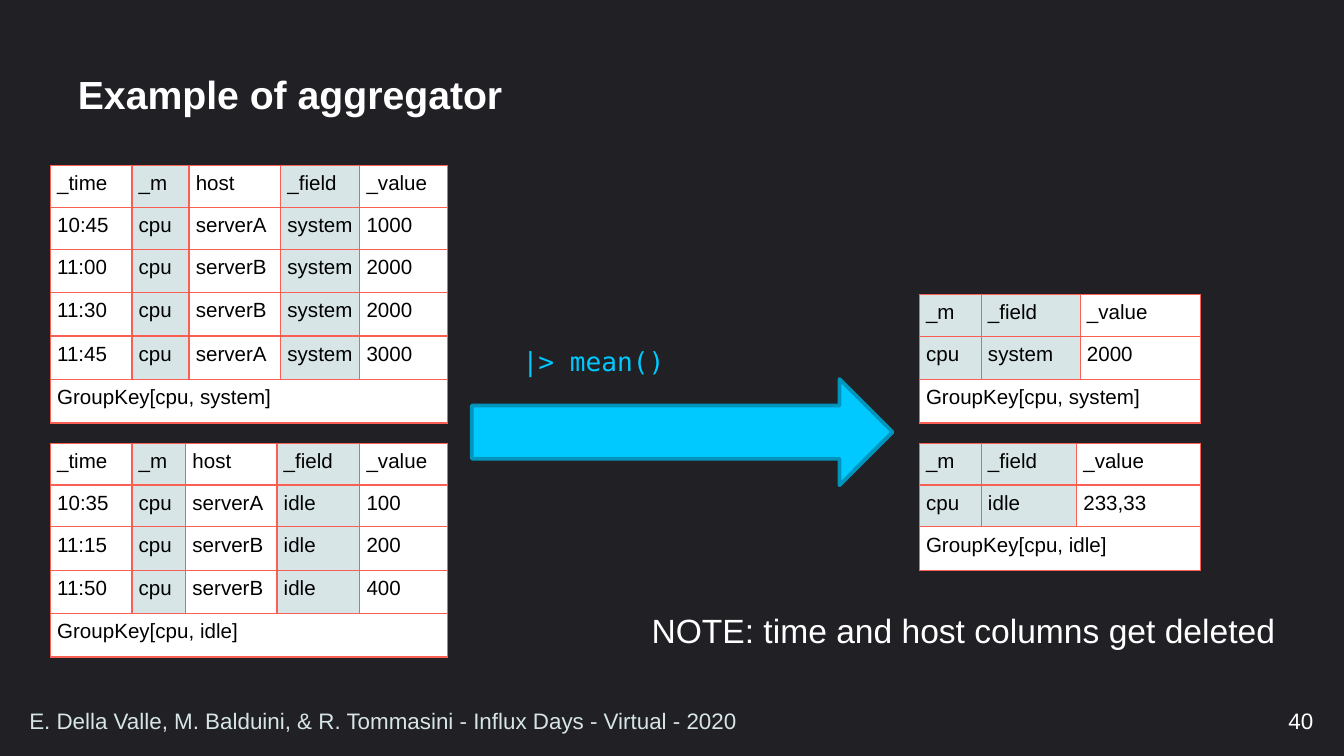
"""Build a slide that shows how mean() aggregates grouped tables."""
import dataclasses

import lxml.etree
import pptx
import pptx.dml.color
import pptx.enum.shapes
import pptx.enum.text
import pptx.oxml
import pptx.oxml.ns
import pptx.util

Pt = pptx.util.Pt
Align = pptx.enum.text.PP_ALIGN
Anchor = pptx.enum.text.MSO_ANCHOR


@dataclasses.dataclass(frozen=True)
class Theme:
    """Colours, fonts and type sizes of the slide."""

    background: str = "202025"
    light: str = "FFFFFF"
    dark: str = "000000"
    group_key: str = "D7E5E6"
    border: str = "F95F53"
    accent: str = "00C9FF"
    accent_edge: str = "0095BD"
    font: str = "Arial"
    code_font: str = "DejaVu Sans Mono"
    title_size: float = 21
    note_size: float = 18
    code_size: float = 14
    footer_size: float = 12
    cell_size: float = 11


def rgb(value):
    """Return the colour object of a hex string."""
    return pptx.dml.color.RGBColor.from_string(value)


def write(frame, text, *, size, color, font, bold=False, align=Align.LEFT,
          spacing=None):
    """Put one formatted paragraph into a text frame."""
    paragraph = frame.paragraphs[0]
    paragraph.alignment = align
    if spacing:
        paragraph.line_spacing = spacing
    run = paragraph.add_run()
    run.text = text
    run.font.size = Pt(size)
    run.font.color.rgb = rgb(color)
    run.font.name = font
    run.font.bold = bold


class SlideBuilder:
    """Hold the theme and the current slide, and add elements to it."""

    def __init__(self, theme, slide):
        self.theme = theme
        self.slide = slide
        slide.background.fill.solid()
        slide.background.fill.fore_color.rgb = rgb(theme.background)

    def title(self, text, left, top, width, height):
        """Place and fill the title placeholder."""
        heading = self.slide.shapes.title
        heading.left, heading.top = Pt(left), Pt(top)
        heading.width, heading.height = Pt(width), Pt(height)
        frame = heading.text_frame
        frame.auto_size = pptx.enum.text.MSO_AUTO_SIZE.NONE
        frame.vertical_anchor = Anchor.MIDDLE
        frame.margin_left = frame.margin_right = Pt(5)
        frame.margin_top = frame.margin_bottom = Pt(2.9)
        write(frame, text, size=self.theme.title_size, color=self.theme.light,
              font=self.theme.font, bold=True, spacing=0.9)

    def text(self, text, left, top, width, height, anchor=Anchor.TOP,
             wrap=True, **style):
        """Add a text box."""
        box = self.slide.shapes.add_textbox(Pt(left), Pt(top), Pt(width), Pt(height))
        box.text_frame.word_wrap = wrap
        box.text_frame.vertical_anchor = anchor
        write(box.text_frame, text,
              **{"color": self.theme.light, "font": self.theme.font, **style})

    def arrow(self, left, top, width, height):
        """Add a block arrow turned to the right."""
        block = self.slide.shapes.add_shape(
            pptx.enum.shapes.MSO_SHAPE.UP_ARROW,
            Pt(left), Pt(top), Pt(width), Pt(height))
        block.rotation = 90
        block.shadow.inherit = False
        block.fill.solid()
        block.fill.fore_color.rgb = rgb(self.theme.accent)
        block.line.color.rgb = rgb(self.theme.accent_edge)
        block.line.width = Pt(2)

    def outline(self, cell):
        """Draw the four borders of a table cell."""
        properties = cell._tc.get_or_add_tcPr()
        qn = pptx.oxml.ns.qn
        for side in ("lnL", "lnR", "lnT", "lnB"):
            line = lxml.etree.SubElement(properties, qn(f"a:{side}"), w=str(Pt(0.75)))
            fill = lxml.etree.SubElement(line, qn("a:solidFill"))
            lxml.etree.SubElement(fill, qn("a:srgbClr"), val=self.theme.border)

    def table(self, records, group, left, top, widths, short_rows=2):
        """Add a table with shaded group columns and a merged group-key row."""
        header = records[0]
        rows = [*records, [f"GroupKey[{group}]"] + [""] * (len(header) - 1)]
        heights = [22.4 if i < short_rows else 23.3 for i in range(len(rows))]
        grid = self.slide.shapes.add_table(
            len(rows), len(widths), Pt(left), Pt(top),
            Pt(sum(widths)), Pt(sum(heights))).table
        grid.first_row = grid.horz_banding = False
        for column, width in zip(grid.columns, widths):
            column.width = Pt(width)
        for r, (values, height) in enumerate(zip(rows, heights)):
            grid.rows[r].height = Pt(height)
            for c, value in enumerate(values):
                cell = grid.cell(r, c)
                cell.margin_left = cell.margin_right = Pt(3.6)
                cell.margin_top = cell.margin_bottom = Pt(3.6)
                self.outline(cell)
                shaded = header[c] in ("_m", "_field") and r < len(records)
                cell.fill.solid()
                cell.fill.fore_color.rgb = rgb(
                    self.theme.group_key if shaded else self.theme.light)
                if value:
                    write(cell.text_frame, value, size=self.theme.cell_size,
                          color=self.theme.dark, font=self.theme.font)
        last = len(rows) - 1
        grid.cell(last, 0).merge(grid.cell(last, len(header) - 1))


def main():
    """Build and save the presentation."""
    deck = pptx.Presentation()
    deck.slide_width, deck.slide_height = Pt(720), Pt(405)
    theme = Theme()
    page = SlideBuilder(theme, deck.slides.add_slide(deck.slide_layouts[5]))

    page.arrow(337, 118.8, 56.9, 225.4)
    page.text("|> mean()", 272.9, 171.4, 185.8, 31.7, size=theme.code_size,
              color=theme.accent, font=theme.code_font, spacing=1.6)
    page.title("Example of aggregator", 36.7, 28.8, 646.6, 46.1)
    page.text("NOTE: time and host columns get deleted", 342, 323.3, 352.1, 28.8,
              wrap=False, size=theme.note_size)

    input_left, result_left = 27, 492.5
    idle_top = 237.4
    result_header = ["_m", "_field", "_value"]
    page.table([result_header, ["cpu", "system", "2000"]], "cpu, system",
               result_left, 157.7, [33.2, 53, 64.5], short_rows=1)
    page.table([result_header, ["cpu", "idle", "233,33"]], "cpu, idle",
               result_left, idle_top, [33.2, 51.1, 66.4])

    def readings(field, samples):
        """Return the header and one record per sample."""
        return [["_time", "_m", "host", "_field", "_value"]] + [
            [time, "cpu", host, field, value] for time, host, value in samples]

    system_samples = [("10:45", "serverA", "1000"), ("11:00", "serverB", "2000"),
                      ("11:30", "serverB", "2000"), ("11:45", "serverA", "3000")]
    idle_samples = [("10:35", "serverA", "100"), ("11:15", "serverB", "200"),
                    ("11:50", "serverB", "400")]
    page.table(readings("system", system_samples), "cpu, system",
               input_left, 88.7, [43.7, 30.6, 49.1, 42.4, 47])
    page.table(readings("idle", idle_samples), "cpu, idle",
               input_left, idle_top, [43.7, 28.8, 48.9, 44.4, 47])

    page.text("40", 548.6, 375.1, 162, 21.6, anchor=Anchor.MIDDLE,
              size=theme.footer_size, align=Align.RIGHT)
    page.text("E. Della Valle, M. Balduini, & R. Tommasini - Influx Days - Virtual - 2020",
              8.6, 375.8, 536.4, 20.9, anchor=Anchor.MIDDLE,
              size=theme.footer_size, color=theme.group_key)
    deck.save("out.pptx")


if __name__ == "__main__":
    main()
